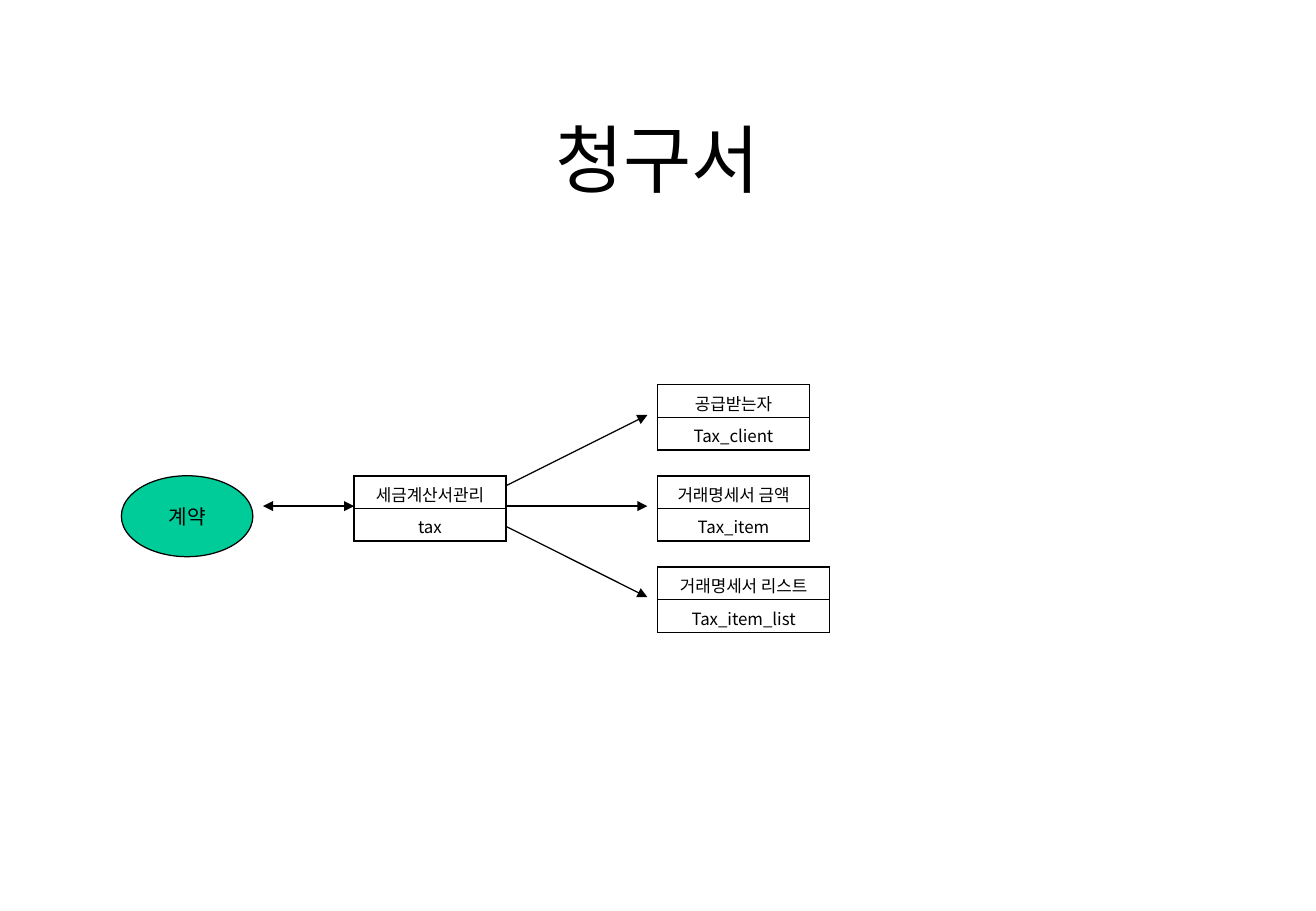
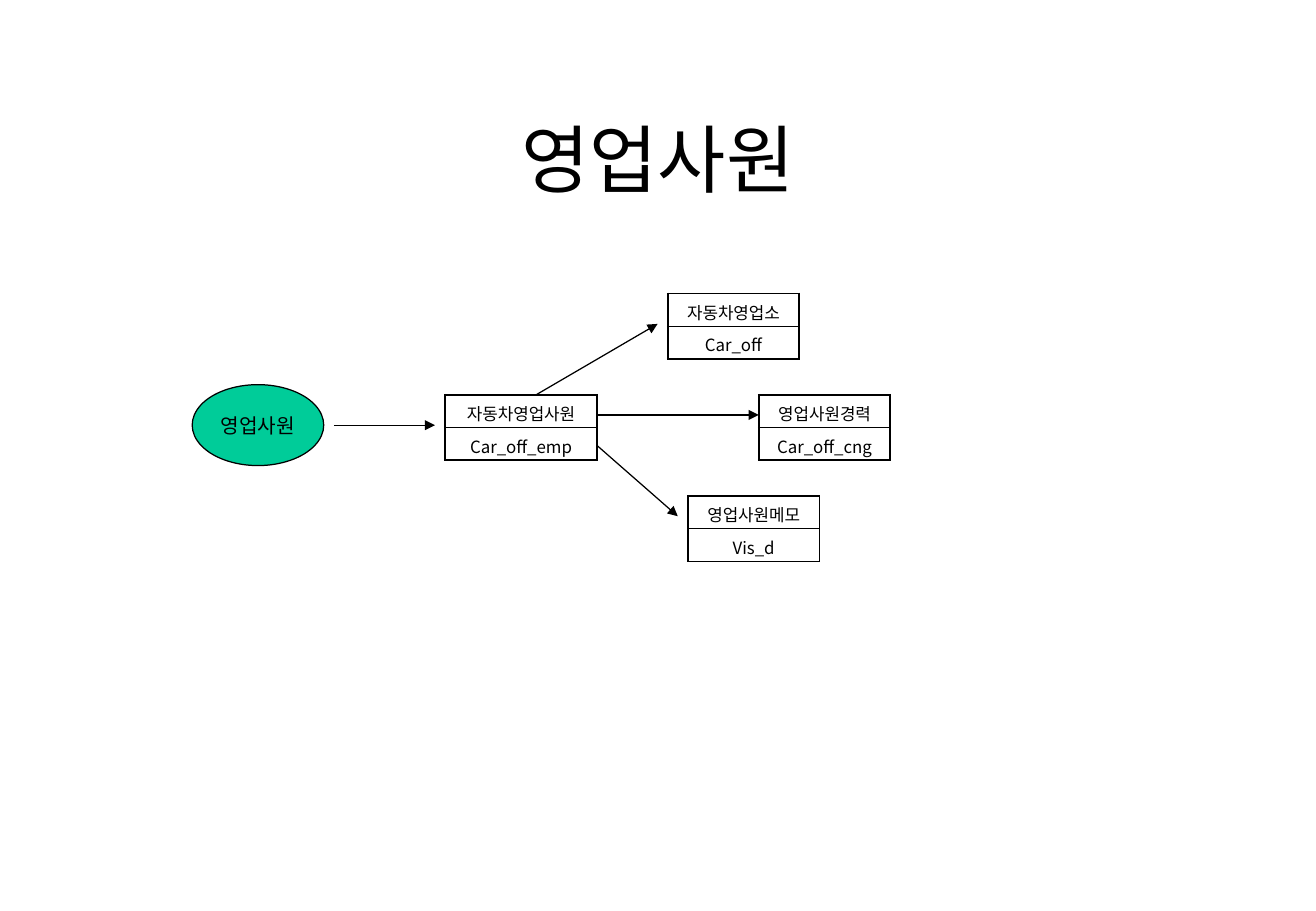
from dataclasses import dataclass

from lxml import etree
from pptx import Presentation
from pptx.dml.color import RGBColor
from pptx.enum.shapes import MSO_CONNECTOR, MSO_SHAPE
from pptx.enum.text import MSO_ANCHOR, PP_ALIGN
from pptx.oxml.ns import qn
from pptx.util import Inches, Pt

STRAIGHT = MSO_CONNECTOR.STRAIGHT
OVAL = MSO_SHAPE.OVAL
CENTER = PP_ALIGN.CENTER
MIDDLE = MSO_ANCHOR.MIDDLE
BLANK = 6


@dataclass(frozen=True)
class Theme:
    font: str = "Noto Sans CJK KR"
    ink: str = "000000"
    accent: str = "00CC99"
    title_size: int = 44
    actor_size: int = 12
    entity_size: int = 10
    line: float = 0.75
    frame: float = 1.08
    divider: float = 0.45
    space_before: float = 2.5


@dataclass(frozen=True)
class Box:
    """Diagram area, measured in cells of a twelfth of an inch."""
    col: int
    row: int
    cell: int = Inches(1) // 12

    def point(self, col, row):
        return (self.col + col) * self.cell, (self.row + row) * self.cell

    def size(self, cols, rows):
        return cols * self.cell, rows * self.cell


THEME = Theme()
INK = RGBColor.from_string(THEME.ink)
ACTOR_SIZE = (13, 8)
ROW_HEIGHT = Inches(0.27)

# Entities: column, row, columns wide, label, table name.
# Arrows: from, to, whether both ends have a head.
DIAGRAMS = [
    {
        "title": "청구서",
        "box": Box(12, 38),
        "actor": (0, 9, "계약"),
        "entities": [
            (23, 9, 15, "세금계산서관리", "tax"),
            (53, 0, 15, "공급받는자", "Tax_client"),
            (53, 9, 15, "거래명세서 금액", "Tax_item"),
            (53, 18, 17, "거래명세서 리스트", "Tax_item_list"),
        ],
        "arrows": [
            ((14, 12), (23, 12), True),
            ((38, 10), (52, 3), False),
            ((38, 12), (52, 12), False),
            ((38, 14), (52, 21), False),
        ],
    },
    {
        "title": "영업사원",
        "box": Box(19, 29),
        "actor": (0, 9, "영업사원"),
        "entities": [
            (25, 10, 15, "자동차영업사원", "Car_off_emp"),
            (47, 0, 13, "자동차영업소", "Car_off"),
            (56, 10, 13, "영업사원경력", "Car_off_cng"),
            (49, 20, 13, "영업사원메모", "Vis_d"),
        ],
        "arrows": [
            ((14, 13), (24, 13), False),
            ((34, 10), (46, 3), False),
            ((40, 12), (56, 12), False),
            ((40, 15), (48, 22), False),
        ],
    },
]


def write(tf, text, size):
    p = tf.paragraphs[0]
    p.alignment = CENTER
    r = p.add_run()
    r.text = text
    r.font.size = Pt(size)
    r.font.name = THEME.font
    r.font.color.rgb = INK
    ea = etree.SubElement(r.font._element, qn("a:ea"))
    ea.set("typeface", THEME.font)
    return p


def add_title(slide, text, width, height):
    sp = slide.shapes.add_textbox(
        round(width * 0.075), round(height * 0.09),
        round(width * 0.85), height // 6)
    tf = sp.text_frame
    tf.word_wrap = True
    tf.vertical_anchor = MIDDLE
    write(tf, text, THEME.title_size)


def add_actor(slide, box, col, row, label):
    sp = slide.shapes.add_shape(OVAL, *box.point(col, row), *box.size(*ACTOR_SIZE))
    sp.shadow.inherit = False
    sp.fill.solid()
    sp.fill.fore_color.rgb = RGBColor.from_string(THEME.accent)
    sp.line.color.rgb = INK
    sp.line.width = Pt(THEME.line)
    tf = sp.text_frame
    tf.word_wrap = False
    tf.vertical_anchor = MIDDLE
    write(tf, label, THEME.actor_size)


def set_borders(cell, top, bottom):
    tc_pr = cell._tc.get_or_add_tcPr()
    widths = {"L": THEME.frame, "R": THEME.frame, "T": top, "B": bottom}
    for side, width in widths.items():
        ln = etree.SubElement(tc_pr, qn(f"a:ln{side}"), w=str(int(Pt(width))))
        fill = etree.SubElement(ln, qn("a:solidFill"))
        etree.SubElement(fill, qn("a:srgbClr"), val=THEME.ink)


def add_entity(slide, box, col, row, cols, label, name):
    """A two-row table: the label above the database table name."""
    width, _ = box.size(cols, 0)
    table = slide.shapes.add_table(
        2, 1, *box.point(col, row), width, 2 * ROW_HEIGHT).table
    table.first_row = table.horz_banding = False
    edges = [(THEME.frame, THEME.divider), (THEME.divider, THEME.frame)]
    for i, (text, (top, bottom)) in enumerate(zip((label, name), edges)):
        cell = table.cell(i, 0)
        set_borders(cell, top, bottom)
        cell.fill.background()
        p = write(cell.text_frame, text, THEME.entity_size)
        p.space_before = Pt(THEME.space_before)


def add_arrow(slide, box, start, end, both):
    line = slide.shapes.add_connector(STRAIGHT, *box.point(*start), *box.point(*end))
    line.line.color.rgb = INK
    line.line.width = Pt(THEME.line)
    ln = line.line._get_or_add_ln()
    for tag in ("a:headEnd", "a:tailEnd") if both else ("a:tailEnd",):
        etree.SubElement(ln, qn(tag), type="triangle")
    etree.SubElement(line._element.spPr, qn("a:effectLst"))


def add_diagram(slide, box, actor, entities, arrows):
    add_actor(slide, box, *actor)
    for entity in entities:
        add_entity(slide, box, *entity)
    for arrow in arrows:
        add_arrow(slide, box, *arrow)


def main():
    prs = Presentation()
    prs.slide_width, prs.slide_height = Inches(10.84), Inches(7.5)
    for diagram in DIAGRAMS:
        slide = prs.slides.add_slide(prs.slide_layouts[BLANK])
        add_title(slide, diagram["title"], prs.slide_width, prs.slide_height)
        add_diagram(slide, diagram["box"], diagram["actor"],
                    diagram["entities"], diagram["arrows"])
    prs.save("out.pptx")


if __name__ == "__main__":
    main()
